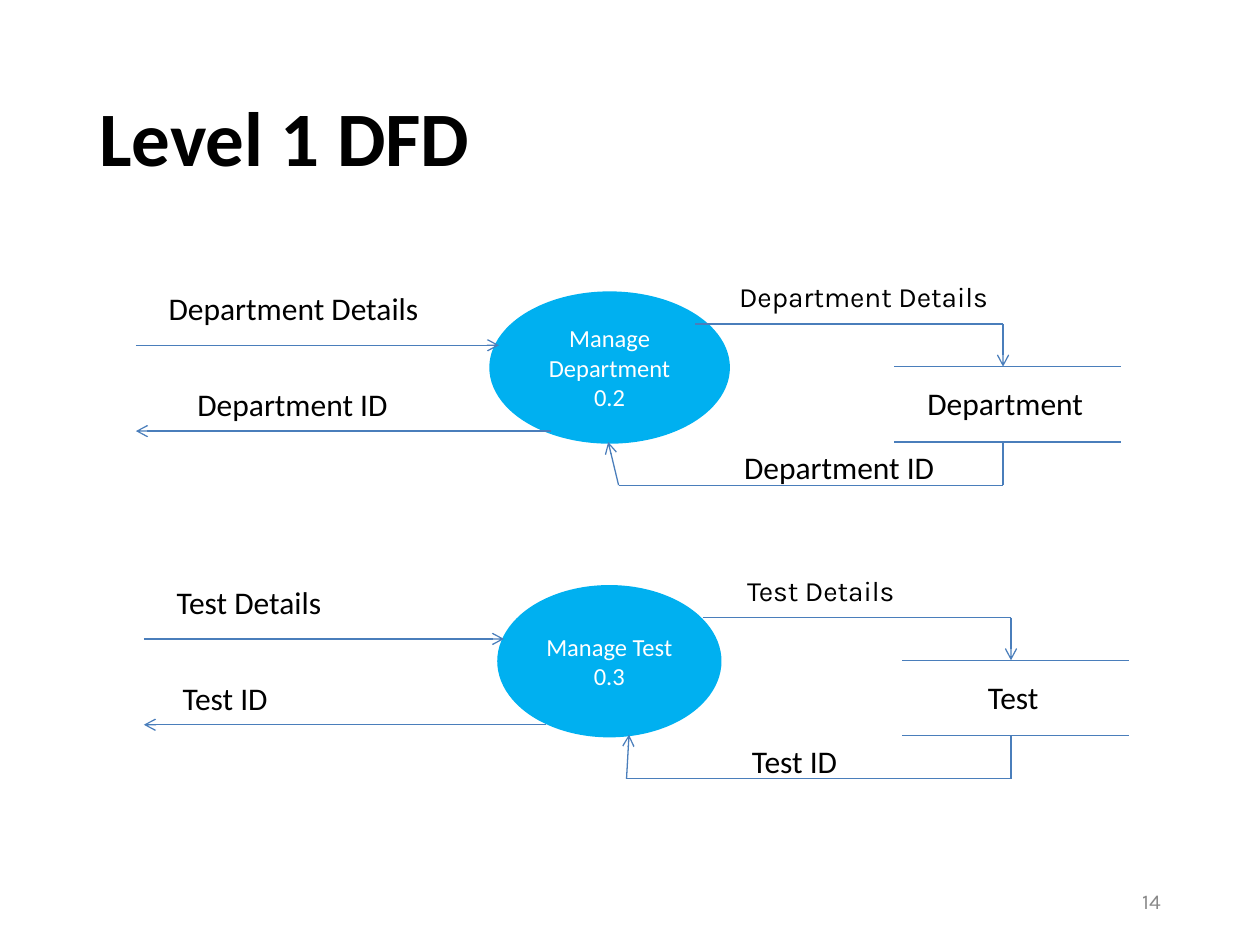
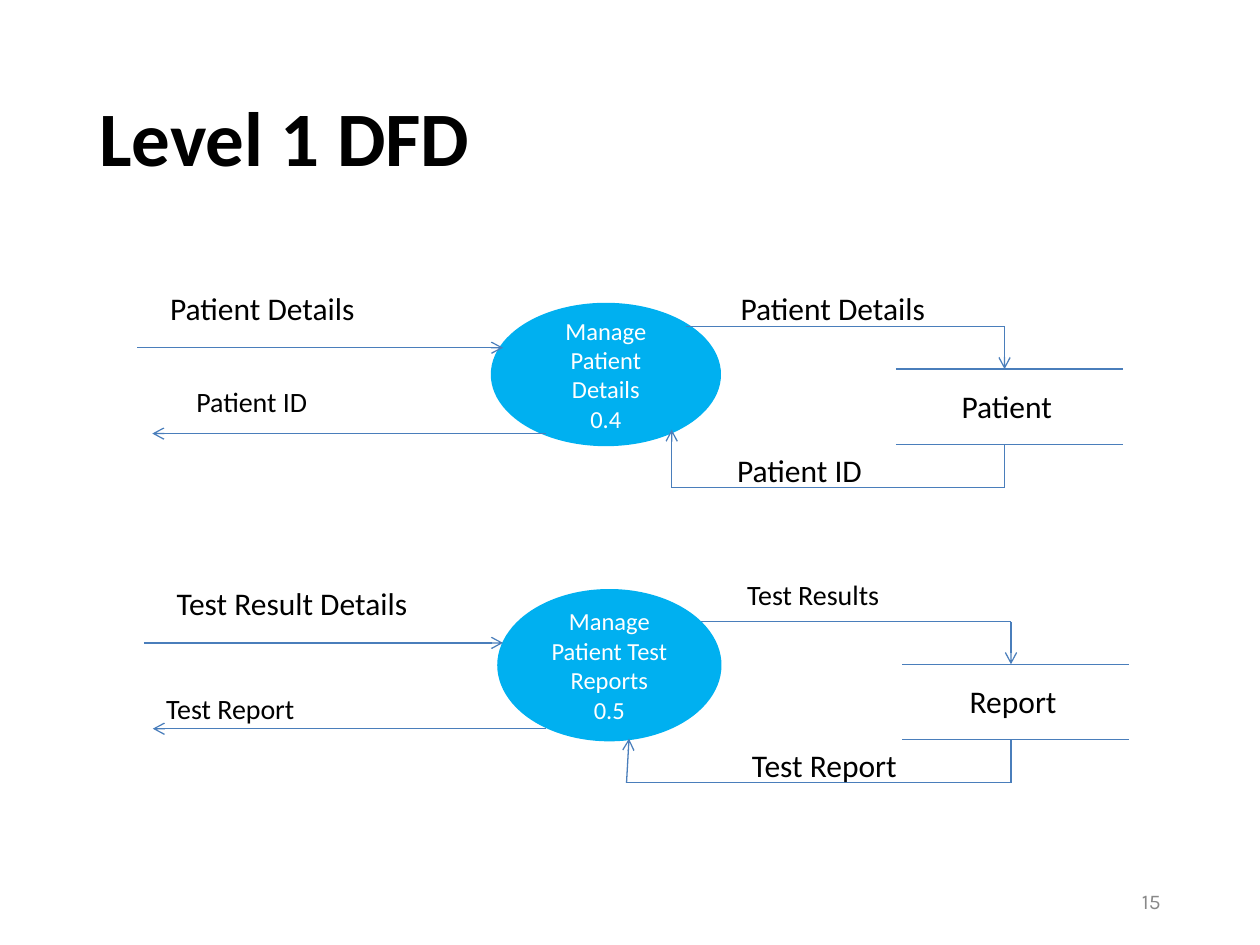
from dataclasses import dataclass
from itertools import pairwise

from lxml.etree import SubElement
from pptx import Presentation
from pptx.dml.color import RGBColor
from pptx.enum.shapes import MSO_CONNECTOR, MSO_SHAPE
from pptx.enum.text import MSO_ANCHOR, MSO_AUTO_SIZE, PP_ALIGN
from pptx.oxml.ns import qn
from pptx.util import Cm, Pt


@dataclass(frozen=True)
class Theme:
    ink: RGBColor = RGBColor.from_string("000000")
    paper: RGBColor = RGBColor.from_string("FFFFFF")
    process: RGBColor = RGBColor.from_string("00B0F0")
    flow: RGBColor = RGBColor.from_string("4A7EBB")
    muted: RGBColor = RGBColor.from_string("898989")
    body_font: str = "Calibri"
    accent_font: str = "Karla"
    title_size: int = 44
    label_size: int = 18
    small_label_size: int = 16
    process_size: int = 14
    number_size: int = 12
    flow_width: float = 0.75
    process_width: float = 2


THEME = Theme()
STORE_LEFT = 15.29
STORE_WIDTH = 4.57
STORE_HEIGHT = 1.52
STORE_FLOW_X = 17.48
INPUT_Y = -0.43
OUTPUT_Y = 1.3
REQUEST_Y = -0.86
RETURN_Y = 2.39


@dataclass(frozen=True)
class Label:
    text: str
    left: float
    top: float
    width: float
    size: int = THEME.label_size
    font: str = THEME.body_font
    align: PP_ALIGN = PP_ALIGN.LEFT


@dataclass(frozen=True)
class Process:
    lines: tuple
    width: float
    height: float = 3
    left: float = 7.16


@dataclass(frozen=True)
class Diagram:
    left: float
    top: float
    process: Process
    input_end: float
    output_start: float
    request_start: float
    return_tip: tuple
    labels: tuple
    output_end: float = 0
    return_turn: float = 9.73
    request_behind: bool = False


def input_label(text, top=-1.68):
    return Label(text, 0.41, top, 6.93)


def output_label(text, left, top=0.25, size=THEME.label_size):
    return Label(text, left, top, 6.93, size)


def request_label(text, top=-1.88, size=THEME.small_label_size, font=THEME.body_font):
    return Label(text, 11.91, top, 7.92, size, font)


def return_label(text, left=12.01):
    return Label(text, left, STORE_HEIGHT, 4.75)


def store_label(text):
    return Label(text, 15.34, 0.23, 4.37, align=PP_ALIGN.CENTER)


SLIDES = {
    14: (
        Diagram(
            2.74, 7.39, Process(("Manage Department 0.2",), 4.78),
            input_end=7.32, output_start=8.36, request_start=11.28, return_tip=(9.52, 1.52),
            labels=(
                input_label("Department Details"),
                output_label("Department ID", 0.99),
                request_label("Department Details", font=THEME.accent_font),
                return_label("Department ID"),
                store_label("Department"),
            ),
        ),
        Diagram(
            2.9, 13.31, Process(("Manage Test", "0.3"), 4.45),
            input_end=7.26, output_start=8.1, request_start=11.28, return_tip=(9.78, 1.5),
            labels=(
                input_label("Test Details"),
                output_label("Test ID", 0.53),
                request_label("Test Details", font=THEME.accent_font),
                return_label("Test ID"),
                store_label("Test"),
            ),
        ),
    ),
    15: (
        Diagram(
            2.77, 7.44, Process(("Manage Patient Details", "0.4"), 4.57, 2.82),
            input_end=7.37, output_start=8.23, request_start=11.05, return_tip=(10.77, 1.22),
            output_end=0.3, return_turn=10.77,
            labels=(
                input_label("Patient Details", -1.73),
                output_label("Patient ID", 0.94, 0.18, THEME.small_label_size),
                request_label("Patient Details", -1.73, THEME.label_size),
                return_label("Patient ID", 11.84),
                store_label("Patient"),
            ),
        ),
        Diagram(
            2.9, 13.39, Process(("Manage Patient Test Reports", "0.5"), 4.45),
            input_end=7.24, output_start=8.1, request_start=10.67, return_tip=(9.78, 1.5),
            output_end=0.18, request_behind=True,
            labels=(
                input_label("Test Result Details", -1.75),
                output_label("Test Report", 0.2, 0.43, THEME.small_label_size),
                request_label("Test Results"),
                return_label("Test Report"),
                store_label("Report"),
            ),
        ),
    ),
}


def write_lines(frame, lines, size, color, font=THEME.body_font, align=PP_ALIGN.LEFT, bold=False):
    frame.word_wrap = True
    for index, line in enumerate(lines):
        paragraph = frame.add_paragraph() if index else frame.paragraphs[0]
        paragraph.alignment = align
        run = paragraph.add_run()
        run.text = line
        run.font.name = font
        run.font.size = Pt(size)
        run.font.bold = bold
        run.font.color.rgb = color


def add_text_box(slide, left, top, width, height):
    return slide.shapes.add_textbox(Cm(left), Cm(top), Cm(width), Cm(height)).text_frame


def add_title(slide, text):
    frame = add_text_box(slide, 1.75, 1.02, 21.92, 3.68)
    frame.vertical_anchor = MSO_ANCHOR.MIDDLE
    write_lines(frame, [text], THEME.title_size, THEME.ink, bold=True)
    frame.paragraphs[0].line_spacing = 0.9


def add_slide_number(slide, number):
    frame = add_text_box(slide, 17.93, 17.65, 5.72, 1.02)
    frame.vertical_anchor = MSO_ANCHOR.MIDDLE
    write_lines(frame, [str(number)], THEME.number_size, THEME.muted, THEME.accent_font, PP_ALIGN.RIGHT)


def add_flow(slide, diagram, points, arrow=True):
    for start, end in pairwise(points):
        connector = slide.shapes.add_connector(
            MSO_CONNECTOR.STRAIGHT,
            Cm(diagram.left + start[0]), Cm(diagram.top + start[1]),
            Cm(diagram.left + end[0]), Cm(diagram.top + end[1]),
        )
        connector.line.color.rgb = THEME.flow
        connector.line.width = Pt(THEME.flow_width)
        properties = connector._element.spPr
        if arrow and end == points[-1]:
            SubElement(properties.find(qn("a:ln")), qn("a:tailEnd"), type="arrow")
        SubElement(properties, qn("a:effectLst"))


def add_process(slide, diagram):
    process = diagram.process
    shape = slide.shapes.add_shape(
        MSO_SHAPE.FLOWCHART_CONNECTOR,
        Cm(diagram.left + process.left), Cm(diagram.top + STORE_HEIGHT - process.height),
        Cm(process.width), Cm(process.height),
    )
    shape.shadow.inherit = False
    shape.fill.solid()
    shape.fill.fore_color.rgb = THEME.process
    shape.line.color.rgb = THEME.process
    shape.line.width = Pt(THEME.process_width)
    shape.text_frame.vertical_anchor = MSO_ANCHOR.MIDDLE
    write_lines(shape.text_frame, process.lines, THEME.process_size, THEME.paper, align=PP_ALIGN.CENTER)


def add_request(slide, diagram):
    add_flow(slide, diagram, [
        (diagram.request_start, REQUEST_Y), (STORE_FLOW_X, REQUEST_Y), (STORE_FLOW_X, 0),
    ])


def add_store(slide, diagram):
    for y in (0, STORE_HEIGHT):
        add_flow(slide, diagram, [(STORE_LEFT, y), (STORE_LEFT + STORE_WIDTH, y)], arrow=False)


def add_label(slide, diagram, label):
    height = 1.02 if label.size == THEME.label_size else 0.94
    frame = add_text_box(slide, diagram.left + label.left, diagram.top + label.top, label.width, height)
    frame.auto_size = MSO_AUTO_SIZE.SHAPE_TO_FIT_TEXT
    write_lines(frame, [label.text], label.size, THEME.ink, label.font, label.align)


def add_diagram(slide, diagram):
    parts = [add_process, add_request]
    for add_part in reversed(parts) if diagram.request_behind else parts:
        add_part(slide, diagram)
    add_flow(slide, diagram, [(0, INPUT_Y), (diagram.input_end, INPUT_Y)])
    add_flow(slide, diagram, [(diagram.output_start, OUTPUT_Y), (diagram.output_end, OUTPUT_Y)])
    add_store(slide, diagram)
    add_flow(slide, diagram, [
        (STORE_FLOW_X, STORE_HEIGHT), (STORE_FLOW_X, RETURN_Y),
        (diagram.return_turn, RETURN_Y), diagram.return_tip,
    ])
    for label in diagram.labels:
        add_label(slide, diagram, label)


def add_diagram_slide(presentation, number, diagrams):
    slide = presentation.slides.add_slide(presentation.slide_layouts[6])
    slide.background.fill.solid()
    slide.background.fill.fore_color.rgb = THEME.paper
    add_title(slide, "Level 1 DFD")
    add_slide_number(slide, number)
    for diagram in diagrams:
        add_diagram(slide, diagram)


def main():
    presentation = Presentation()
    presentation.slide_width = Cm(25.4)
    presentation.slide_height = Cm(19.05)
    for number, diagrams in SLIDES.items():
        add_diagram_slide(presentation, number, diagrams)
    presentation.save("out.pptx")


if __name__ == "__main__":
    main()
